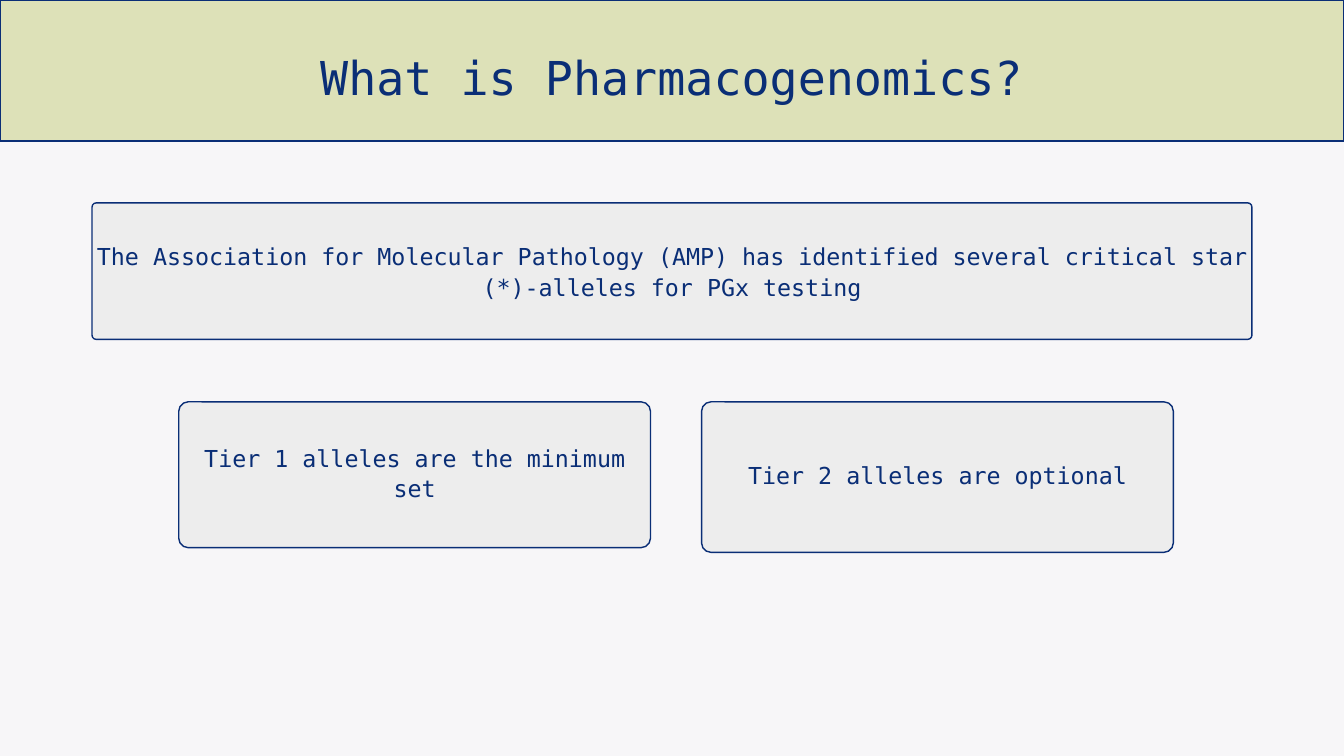
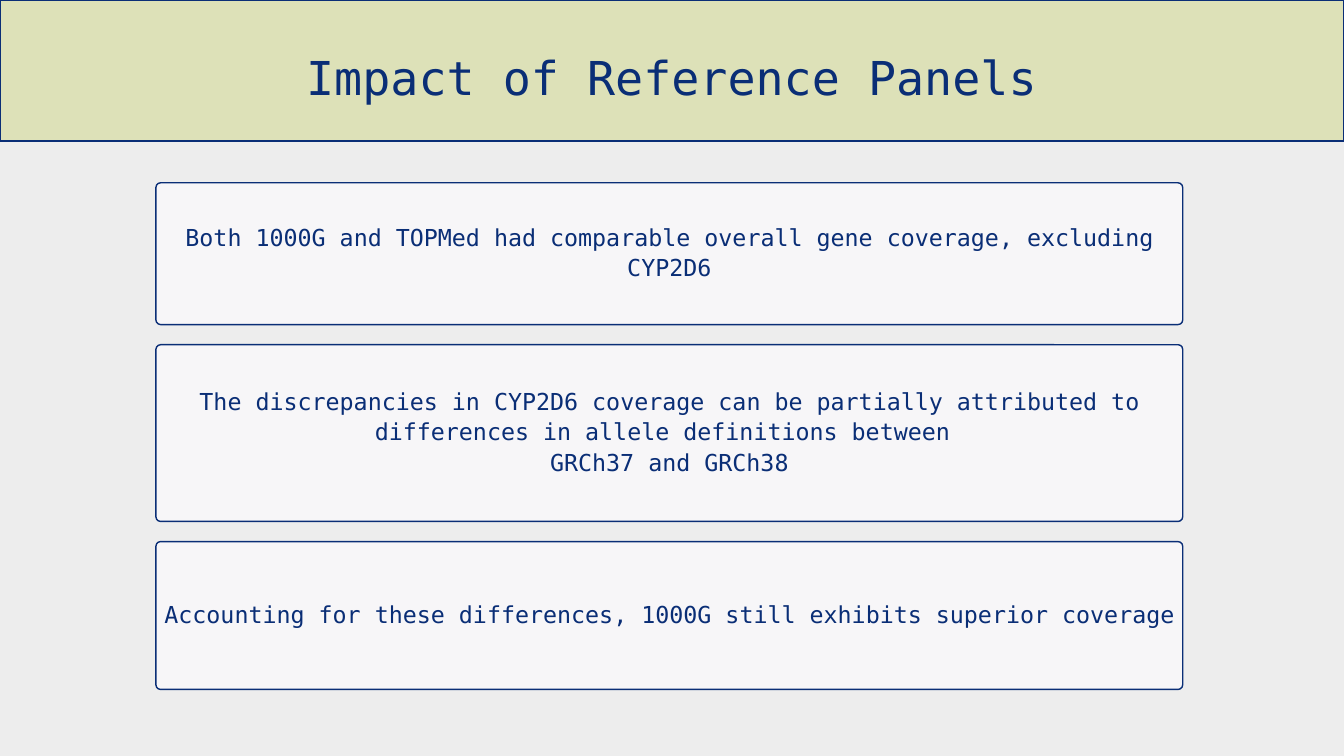
from pptx import Presentation
from pptx.dml.color import RGBColor
from pptx.enum.shapes import MSO_SHAPE
from pptx.enum.text import MSO_ANCHOR, MSO_AUTO_SIZE, PP_ALIGN
from pptx.util import Inches, Pt

RECT, ROUNDED = MSO_SHAPE.RECTANGLE, MSO_SHAPE.ROUNDED_RECTANGLE
TOP, MIDDLE = MSO_ANCHOR.TOP, MSO_ANCHOR.MIDDLE
CENTER = PP_ALIGN.CENTER
NO_AUTOFIT = MSO_AUTO_SIZE.NONE

NAVY = RGBColor(0x0A, 0x2E, 0x76)
OLIVE = RGBColor(0xDD, 0xE1, 0xB8)
WHITE = RGBColor(0xF7, 0xF6, 0xF8)
GREY = RGBColor(0xED, 0xED, 0xED)

FONT = "DejaVu Sans Mono"
WIDTH, HEIGHT = 20, 11.25
LINE_RATIO = 1.3
SIDE_INSET, INSET = 0.03, 0.06
TITLE_ONLY = 5


def set_text(tf, lines, size, anchor, insets):
    tf.word_wrap = True
    tf.auto_size = NO_AUTOFIT
    tf.vertical_anchor = anchor
    left, top, right, bottom = insets
    tf.margin_left, tf.margin_top = Inches(left), Inches(top)
    tf.margin_right, tf.margin_bottom = Inches(right), Inches(bottom)
    for i, line in enumerate(lines):
        p = tf.add_paragraph() if i else tf.paragraphs[0]
        p.text = line
        p.alignment = CENTER
        p.line_spacing = Pt(size * LINE_RATIO)
        p.font.name = FONT
        p.font.size = Pt(size)
        p.font.color.rgb = NAVY


def add_panel(s, kind, box, fill):
    sp = s.shapes.add_shape(kind, *map(Inches, box))
    sp.shadow.inherit = False
    sp.fill.solid()
    sp.fill.fore_color.rgb = fill
    sp.line.color.rgb = NAVY
    sp.line.width = Pt(1.5)
    return sp


def add_card(s, box, fill, lines, radius, lift=0.04):
    sp = add_panel(s, ROUNDED, box, fill)
    sp.adjustments[0] = radius / min(box[2:])
    set_text(sp.text_frame, lines, 25, MIDDLE,
             (SIDE_INSET, INSET, SIDE_INSET, INSET + 2 * lift))


def add_titled_slide(prs, title, background):
    s = prs.slides.add_slide(prs.slide_layouts[TITLE_ONLY])
    s.background.fill.solid()
    s.background.fill.fore_color.rgb = background
    band = add_panel(s, RECT, (0, 0, WIDTH, 2.1), OLIVE)
    s.shapes._spTree.insert(2, band._element)
    sp = s.shapes.title
    sp.left, sp.top = Inches(2.15), Inches(0.65)
    sp.width, sp.height = Inches(15.69), Inches(0.91)
    set_text(sp.text_frame, [title], 50, TOP, (0, 0, 0, 0))
    return s


def add_tiers(s, left, top, width, gap, tiers):
    for i, (height, text) in enumerate(tiers):
        box = (left + i * (width + gap), top, width, height)
        add_card(s, box, GREY, [text], 0.14)


def add_stack(s, left, top, width, gap, cards):
    for height, lines in cards:
        add_card(s, (left, top, width, height), WHITE, lines, 0.07)
        top += height + gap


def build_pharmacogenomics(prs):
    s = add_titled_slide(prs, "What is Pharmacogenomics?", WHITE)
    add_card(s, (1.37, 3.02, 17.26, 2.03), GREY,
             ["The Association for Molecular Pathology (AMP) has identified "
              "several critical star (*)-alleles for PGx testing"], 0.06, lift=0.01)
    add_tiers(s, 2.66, 5.98, 7.02, 0.76, [
        (2.17, "Tier 1 alleles are the minimum set"),
        (2.24, "Tier 2 alleles are optional"),
    ])


def build_reference_panels(prs):
    s = add_titled_slide(prs, "Impact of Reference Panels", GREY)
    add_stack(s, 2.32, 2.72, 15.28, 0.3, [
        (2.11, ["Both 1000G and TOPMed had comparable overall gene coverage, "
                "excluding CYP2D6"]),
        (2.63, ["The discrepancies in CYP2D6 coverage can be partially attributed "
                "to differences in allele definitions between ",
                "GRCh37 and GRCh38"]),
        (2.2, ["Accounting for these differences, 1000G still exhibits "
               "superior coverage"]),
    ])


def main():
    prs = Presentation()
    prs.slide_width, prs.slide_height = Inches(WIDTH), Inches(HEIGHT)
    build_pharmacogenomics(prs)
    build_reference_panels(prs)
    prs.save("out.pptx")


if __name__ == "__main__":
    main()
